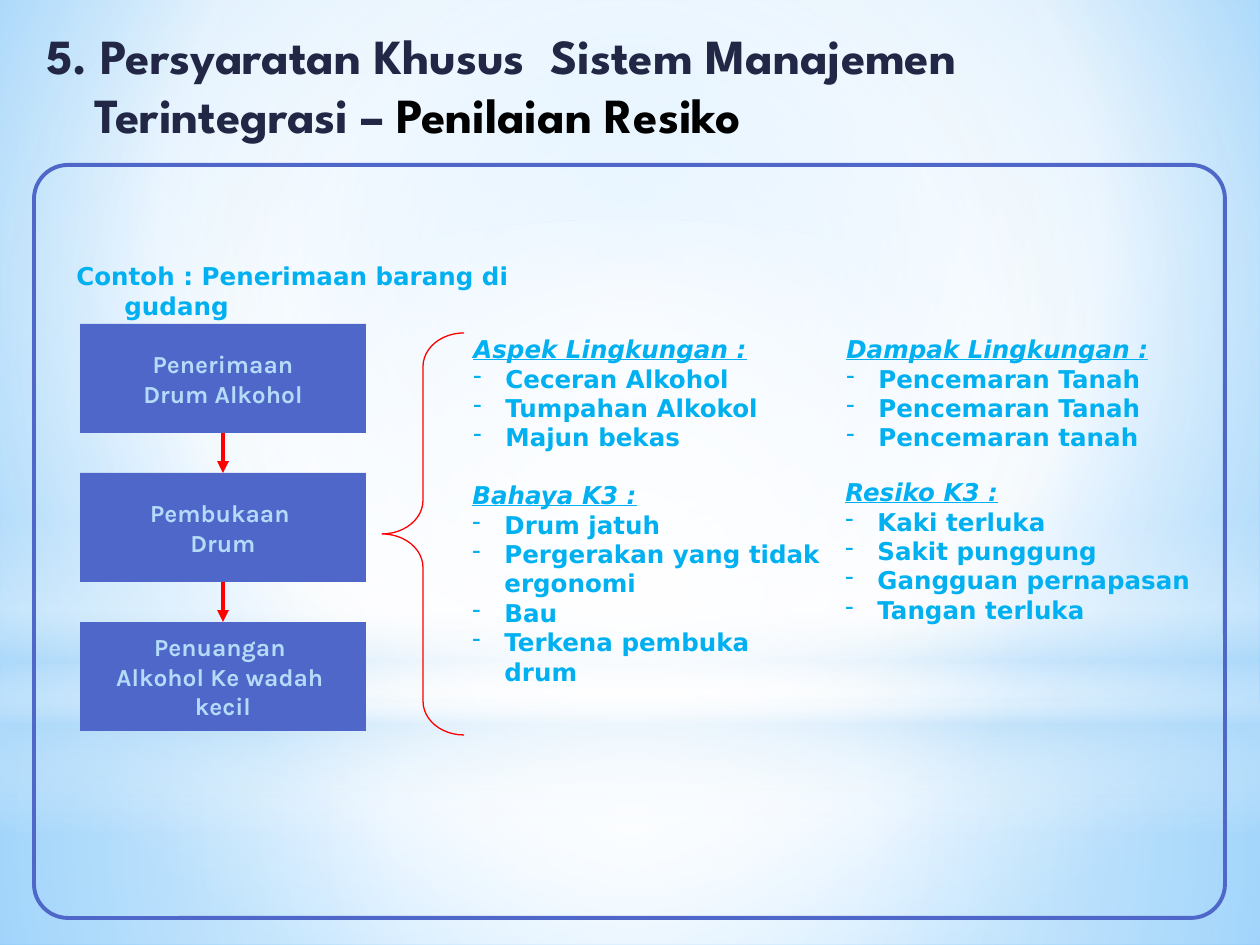
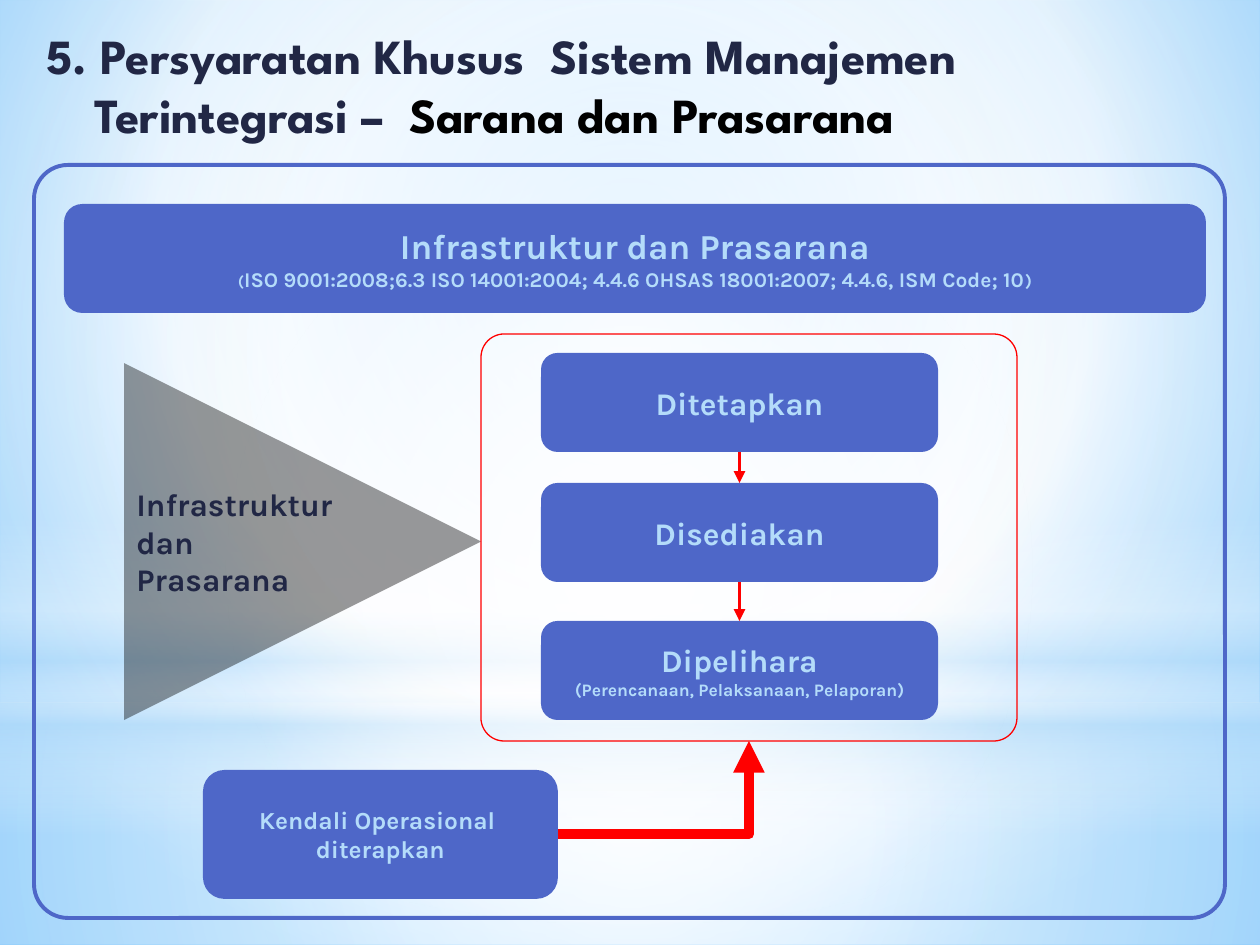
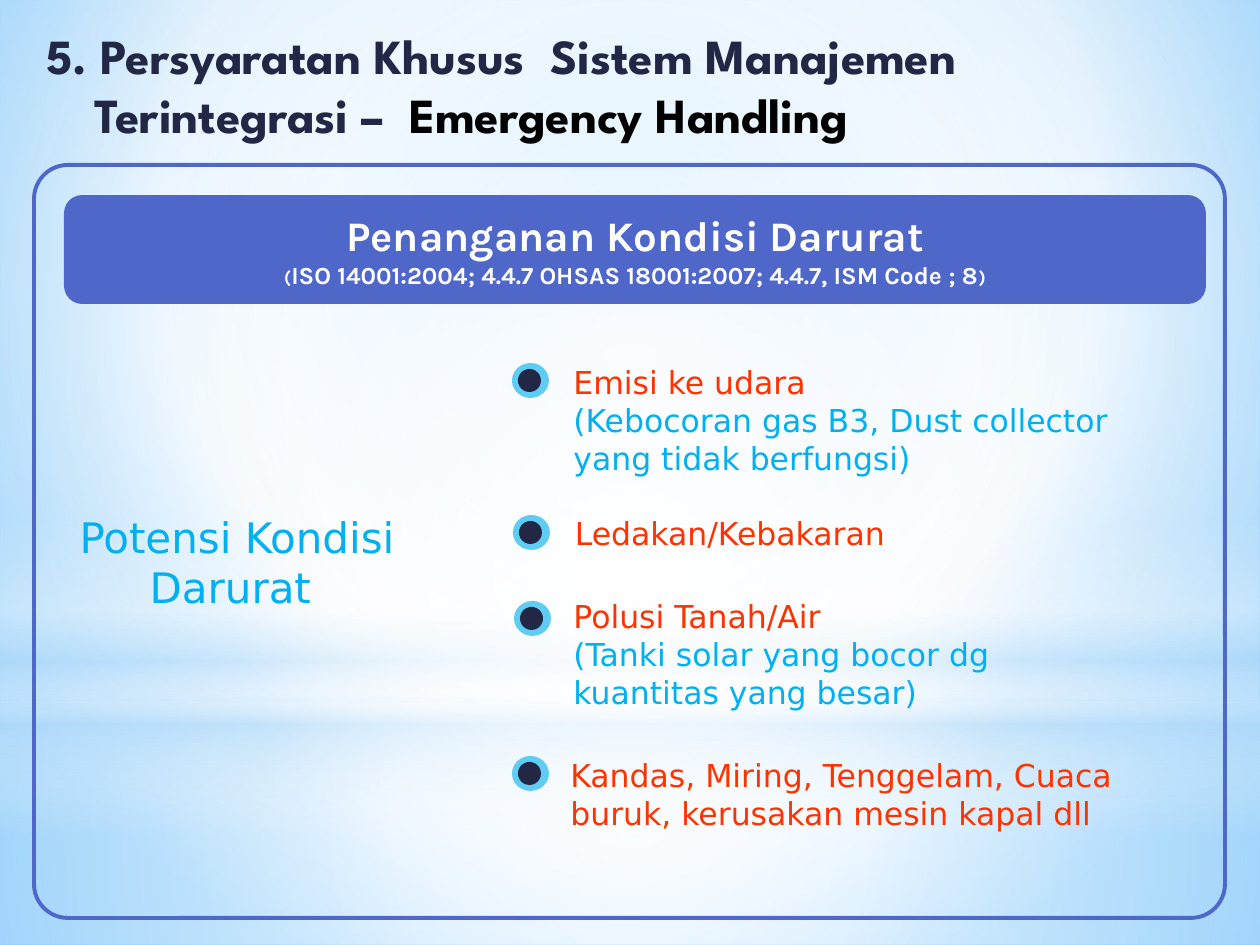
from dataclasses import dataclass

from pptx import Presentation
from pptx.dml.color import RGBColor
from pptx.enum.shapes import MSO_CONNECTOR, MSO_SHAPE
from pptx.enum.text import MSO_ANCHOR, MSO_AUTO_SIZE, PP_ALIGN
from pptx.oxml import parse_xml
from pptx.oxml.ns import nsdecls, qn
from pptx.util import Emu, Pt


@dataclass(frozen=True)
class Theme:
    display: str = "League Spartan"
    label: str = "Karla"
    body: str = "DejaVu Sans"
    blue: str = "4E67C8"
    pale: str = "B4DCFA"
    navy: str = "212745"
    sky: str = "00B0F0"
    ring: str = "5ECCF3"
    red: str = "FF0000"
    orange: str = "FF3300"
    black: str = "000000"
    white: str = "FFFFFF"
    title: int = 28
    large: int = 24
    head: int = 20
    text: int = 18
    small: int = 14
    note: int = 12
    tiny: int = 10


THEME = Theme()
SCALE = 914400 / 126
PAGE_WIDTH, PAGE_HEIGHT = 1260, 945
HANGING = 48
LIST_INDENT = 32

# Content
TITLE_START = "5. Persyaratan Khusus  Sistem Manajemen  Terintegrasi – "
RISK_TITLE = "Penilaian Resiko"
FACILITY_TITLE = "Sarana dan Prasarana"
EMERGENCY_TITLE = "Emergency Handling"

EXAMPLE = "Contoh : Penerimaan barang di gudang"
RECEIVING_STEPS = [
    ["Penerimaan", "Drum Alkohol"],
    ["Pembukaan ", "Drum"],
    ["Penuangan ", "Alkohol Ke wadah ", "kecil"],
]
RISK_LISTS = [
    ((461, 328, 382, 131), "Aspek Lingkungan :",
     ["Ceceran Alkohol", "Tumpahan Alkokol", "Majun bekas"]),
    ((834, 328, 382, 131), "Dampak Lingkungan :",
     ["Pencemaran Tanah", "Pencemaran Tanah", "Pencemaran tanah"]),
    ((460, 474, 382, 220), "Bahaya K3 :",
     ["Drum jatuh", "Pergerakan yang tidak ergonomi", "Bau", "Terkena pembuka drum"]),
    ((833, 471, 382, 161), "Resiko K3 :",
     ["Kaki terluka", "Sakit punggung", "Gangguan pernapasan", "Tangan terluka"]),
]

FACILITY_HEADER = [
    [("Infrastruktur dan Prasarana", THEME.head)],
    [("(", 9),
     ("ISO 9001:2008;6.3 ISO 14001:2004; 4.4.6 OHSAS 18001:2007; 4.4.6, ISM Code; 10",
      THEME.note),
     (")", THEME.tiny)],
]
FACILITY_STEPS = [
    (353, [[("Ditetapkan", THEME.text)]]),
    (483, [[("Disediakan", THEME.text)]]),
    (621, [[("Dipelihara", THEME.text)],
           [("(Perencanaan, Pelaksanaan, Pelaporan)", THEME.tiny)]]),
]
FACILITY_INPUT = ["Infrastruktur ", "dan ", "Prasarana"]
CONTROL = ["Kendali Operasional ", "diterapkan"]

EMERGENCY_HEADER = [
    [("Penanganan Kondisi Darurat", THEME.large)],
    [("(", 10.5),
     ("ISO 14001:2004; 4.4.7 OHSAS 18001:2007; 4.4.7, ISM Code ; 8", THEME.small),
     (")", 10.5)],
]
POTENTIAL = ["Potensi Kondisi ", "Darurat "]
# marker position, text area, alignment, lines with colours
EMERGENCIES = [
    ((512, 363), (561, 357, 586, 134), None,
     [("Emisi ke udara", THEME.orange),
      ("(Kebocoran gas B3, Dust collector yang tidak berfungsi)", THEME.sky)]),
    ((513, 515), (551, 508, 358, 50), PP_ALIGN.CENTER,
     [("Ledakan/Kebakaran", THEME.orange)]),
    ((514, 601), (561, 591, 576, 135), None,
     [("Polusi Tanah/Air", THEME.orange),
      ("(Tanki solar yang bocor dg kuantitas yang besar)", THEME.sky)]),
    ((512, 756), (558, 750, 607, 97), None,
     [("Kandas, Miring, Tenggelam, Cuaca", THEME.orange),
      ("buruk, kerusakan mesin kapal dll", THEME.orange)]),
]

# Backdrop: stops are (position, colour, opacity), all in percent
PAGE_GRADIENT = [(0, "9ED5FF", 100), (60, THEME.white, 100), (100, "5BB9FF", 100)]
CENTRE = (50, 50, 50, 50)
BACKDROP = [
    (MSO_SHAPE.RECTANGLE, (0, 703, 1260, 242), CENTRE,
     [(0, THEME.white, 91), (37, THEME.white, 76), (100, THEME.pale, 79)]),
    (MSO_SHAPE.RECTANGLE, (0, 0, 1260, 703), CENTRE,
     [(0, THEME.white, 89), (48, THEME.white, 62), (100, THEME.pale, 79)]),
    (MSO_SHAPE.RECTANGLE, (0, 519, 1260, 315), None,
     [(0, THEME.white, 0), (29, THEME.white, 30), (45, THEME.pale, 40),
      (55, THEME.white, 26), (65, THEME.pale, 60), (100, THEME.white, 0)]),
    (MSO_SHAPE.OVAL, (0, 220, 1260, 703), CENTRE,
     [(0, THEME.white, 100), (56, THEME.white, 0)]),
]


# Helpers
def px(value):
    return Emu(round(value * SCALE))


def area(values):
    return [px(value) for value in values]


def rgb(color):
    return RGBColor.from_string(color)


def set_gradient(parent, stops, focus):
    """Replace the solid fill in parent; no focus means top to bottom."""
    marks = "".join(
        f'<a:gs pos="{position * 1000}"><a:srgbClr val="{color}">'
        f'<a:alpha val="{opacity * 1000}"/></a:srgbClr></a:gs>'
        for position, color, opacity in stops)
    if focus:
        sides = " ".join(f'{side}="{value * 1000}"' for side, value in zip("ltrb", focus))
        course = f'<a:path path="circle"><a:fillToRect {sides}/></a:path>'
    else:
        course = '<a:lin ang="5400000" scaled="0"/>'
    gradient = parse_xml(f'<a:gradFill {nsdecls("a")} rotWithShape="1">'
                         f'<a:gsLst>{marks}</a:gsLst>{course}</a:gradFill>')
    parent.replace(parent.find(qn("a:solidFill")), gradient)


def add_shape(shapes, kind, place, fill=None, line=None, width=0.75, adjust=()):
    shape = shapes.add_shape(kind, *area(place))
    shape.shadow.inherit = False
    for index, value in enumerate(adjust):
        shape.adjustments[index] = value
    if fill:
        shape.fill.solid()
        shape.fill.fore_color.rgb = rgb(fill)
    else:
        shape.fill.background()
    if line:
        shape.line.color.rgb = rgb(line)
        shape.line.width = Pt(width)
    else:
        shape.line.fill.background()
    return shape


def set_indent(para, indent, bullet=None):
    props = para._p.get_or_add_pPr()
    props.set("marL", str(px(indent)))
    props.set("indent", str(-px(indent)))
    if bullet:
        props.append(parse_xml(f'<a:buFontTx {nsdecls("a")}/>'))
        props.append(parse_xml(f'<a:buChar {nsdecls("a")} char="{bullet}"/>'))


def write(box, lines, font, bold=False, align=None, indent=0, wrap=True):
    """Write lines of (text, size, colour) spans; return the paragraphs."""
    frame = box.text_frame
    frame.word_wrap = wrap
    frame.text = "\n".join("" for _ in lines)
    for para, spans in zip(frame.paragraphs, lines):
        para.alignment = align
        if indent:
            set_indent(para, indent)
        for text, size, color in spans:
            span = para.add_run()
            span.text = text
            span.font.name = font
            span.font.size = Pt(size)
            span.font.bold = bold
            span.font.color.rgb = rgb(color)
    return frame.paragraphs


def add_text(page, place, lines, font=THEME.body, **options):
    box = page.shapes.add_textbox(*area(place))
    paragraphs = write(box, lines, font, **options)
    box.text_frame.auto_size = MSO_AUTO_SIZE.SHAPE_TO_FIT_TEXT
    return paragraphs


def write_label(shape, lines, color=THEME.pale, align=PP_ALIGN.CENTER):
    shape.text_frame.vertical_anchor = MSO_ANCHOR.MIDDLE
    colored = [[(text, size, color) for text, size in spans] for spans in lines]
    write(shape, colored, THEME.label, True, align, HANGING, wrap=False)


def same_size(texts, size):
    return [[(text, size)] for text in texts]


def add_block(page, place, lines, kind=MSO_SHAPE.ROUNDED_RECTANGLE, color=THEME.pale):
    block = add_shape(page.shapes, kind, place, THEME.blue)
    write_label(block, lines, color)
    return block


def add_arrow(page, start, end, width=2.25, kind=MSO_CONNECTOR.STRAIGHT):
    arrow = page.shapes.add_connector(kind, *area(start + end))
    arrow.line.color.rgb = rgb(THEME.red)
    arrow.line.width = Pt(width)
    arrow.line._get_or_add_ln().append(
        parse_xml(f'<a:tailEnd {nsdecls("a")} type="triangle"/>'))
    arrow._element.spPr.append(parse_xml(f'<a:effectLst {nsdecls("a")}/>'))
    return arrow


def join_down(page, blocks):
    for upper, lower in zip(blocks, blocks[1:]):
        arrow = add_arrow(page, (0, 0), (0, 0))
        arrow.begin_connect(upper, 2)
        arrow.end_connect(lower, 0)


# Shared parts
def build_master(deck):
    master = deck.slide_master
    master.background.fill.solid()
    set_gradient(master.element.find(f".//{qn('p:bgPr')}"), PAGE_GRADIENT, (20, 10, 20, 60))


def add_backdrop(page):
    for kind, place, focus, stops in BACKDROP:
        layer = add_shape(page.shapes, kind, place, THEME.white)
        set_gradient(layer.element.spPr, stops, focus)


def add_page(deck, title, gap=""):
    page = deck.slides.add_slide(deck.slide_layouts[6])
    add_backdrop(page)
    add_shape(page.shapes, MSO_SHAPE.ROUNDED_RECTANGLE, (34, 165, 1191, 753),
              line=THEME.blue, width=2.25, adjust=[0.045])
    add_text(page, (34, 19, 1191, 132),
             [[(TITLE_START + gap, THEME.title, THEME.navy),
               (title, THEME.title, THEME.black)]],
             THEME.display, bold=True, indent=HANGING)
    return page


# Slides
def build_risk(deck):
    page = add_page(deck, RISK_TITLE)
    add_text(page, (64, 255, 563, 42), [[(EXAMPLE, THEME.small, THEME.sky)]],
             bold=True, indent=HANGING, wrap=False)
    blocks = [add_block(page, (80, 324 + 149 * row, 286, 109),
                        same_size(texts, THEME.small), MSO_SHAPE.RECTANGLE)
              for row, texts in enumerate(RECEIVING_STEPS)]
    join_down(page, blocks)
    add_shape(page.shapes, MSO_SHAPE.LEFT_BRACE, (382, 333, 82, 402),
              line=THEME.red, adjust=[0.41, 0.5])
    for place, heading, items in RISK_LISTS:
        lines = [[(text, THEME.small, THEME.sky)] for text in [heading] + items]
        first, *rest = add_text(page, place, lines, bold=True, indent=LIST_INDENT)
        first.runs[0].font.italic = True
        first.runs[0].font.underline = True
        for para in rest:
            set_indent(para, LIST_INDENT, "-")


def build_facility(deck):
    page = add_page(deck, FACILITY_TITLE, " ")
    add_block(page, (64, 204, 1142, 109), FACILITY_HEADER)
    blocks = [add_block(page, (541, top, 397, 99), lines) for top, lines in FACILITY_STEPS]
    join_down(page, blocks)

    pointer = add_shape(page.shapes, MSO_SHAPE.PENTAGON, (124, 363, 357, 357),
                        THEME.black, adjust=[1])
    pointer.element.spPr.find(f"{qn('a:solidFill')}/{qn('a:srgbClr')}").append(
        parse_xml(f'<a:alpha {nsdecls("a")} val="40000"/>'))
    write_label(pointer, same_size(FACILITY_INPUT, THEME.text), THEME.navy, PP_ALIGN.JUSTIFY)

    add_shape(page.shapes, MSO_SHAPE.ROUNDED_RECTANGLE, (481, 334, 536, 407),
              line=THEME.red, adjust=[0.057])
    add_block(page, (203, 770, 355, 129), same_size(CONTROL, THEME.small))
    elbow = add_arrow(page, (558, 834), (749, 741), 6, MSO_CONNECTOR.ELBOW)
    elbow._element.spPr.find(qn("a:prstGeom")).set("prst", "bentConnector2")


def build_emergency(deck):
    page = add_page(deck, EMERGENCY_TITLE, " ")
    add_block(page, (64, 195, 1142, 109), EMERGENCY_HEADER, color=THEME.white)
    add_text(page, (63, 505, 348, 125),
             [[(text, THEME.large, THEME.sky)] for text in POTENTIAL],
             align=PP_ALIGN.CENTER)
    for (left, top), place, align, lines in EMERGENCIES:
        add_text(page, place, [[(text, THEME.text, color)] for text, color in lines],
                 align=align)
        marker = page.shapes.add_group_shape()
        add_shape(marker.shapes, MSO_SHAPE.OVAL, (left, top, 37, 35), THEME.ring)
        add_shape(marker.shapes, MSO_SHAPE.OVAL, (left + 6, top + 6, 23, 23), THEME.navy)


def main():
    deck = Presentation()
    deck.slide_width, deck.slide_height = px(PAGE_WIDTH), px(PAGE_HEIGHT)
    build_master(deck)
    build_risk(deck)
    build_facility(deck)
    build_emergency(deck)
    deck.save("out.pptx")


if __name__ == "__main__":
    main()
